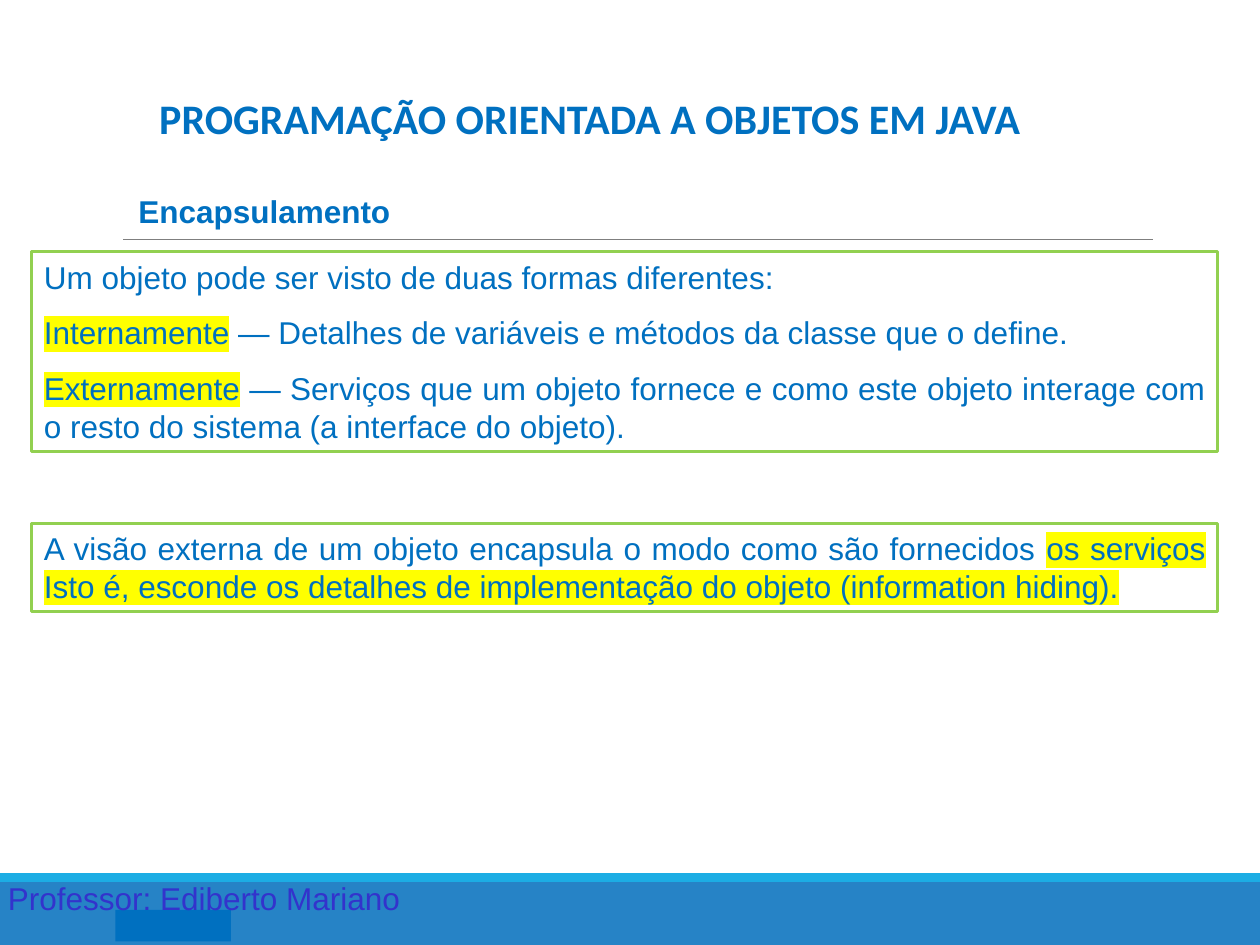
from lxml import etree
from pptx import Presentation
from pptx.dml.color import RGBColor
from pptx.enum.shapes import MSO_CONNECTOR, MSO_SHAPE
from pptx.enum.text import MSO_ANCHOR, MSO_AUTO_SIZE, PP_ALIGN
from pptx.oxml.ns import qn
from pptx.util import Pt

BLUE = RGBColor(0x00, 0x70, 0xC0)
BAND_BLUE = RGBColor(0x26, 0x83, 0xC6)
CYAN = RGBColor(0x1C, 0xAD, 0xE4)
GREEN = RGBColor(0x92, 0xD0, 0x50)
GRAY = RGBColor(0x7F, 0x7F, 0x7F)
INDIGO = RGBColor(0x33, 0x33, 0xCC)


def format_run(r, color=BLUE, size=18, font="Arial", bold=False, highlight=False):
    r.font.size, r.font.name, r.font.bold = Pt(size), font, bold
    r.font.color.rgb = color
    if highlight:
        hl = etree.Element(qn("a:highlight"))
        etree.SubElement(hl, qn("a:srgbClr"), val="FFFF00")
        r.font._element.find(qn("a:solidFill")).addnext(hl)


def add_rect(left, top, width, height, fill=None):
    sp = s.shapes.add_shape(MSO_SHAPE.RECTANGLE, Pt(left), Pt(top), Pt(width), Pt(height))
    sp.shadow.inherit = False
    if fill is None:
        sp.fill.background()
    else:
        sp.fill.solid()
        sp.fill.fore_color.rgb = fill
        sp.line.fill.background()
    return sp


prs = Presentation()
prs.slide_width, prs.slide_height = Pt(720), Pt(540)
s = prs.slides.add_slide(prs.slide_layouts[5])

# Footer band and rule under the heading
for left, top, width, height, fill in [
    (0, 499, 720, 41, BAND_BLUE),
    (0, 499, 720, 5, CYAN),
    (66, 520, 66, 18, BLUE),
]:
    add_rect(left, top, width, height, fill)

rule = s.shapes.add_connector(MSO_CONNECTOR.STRAIGHT, Pt(70.5), Pt(136.8), Pt(659), Pt(136.8))
rule.line.color.rgb = GRAY
rule.line.width = Pt(0.5)
etree.SubElement(rule._element.spPr, qn("a:effectLst"))

# Title
title = s.shapes.title
title.left, title.top, title.width, title.height = Pt(74.5), Pt(48), Pt(525), Pt(37.5)
tf = title.text_frame
tf.text = "PROGRAMAÇÃO ORIENTADA A OBJETOS EM JAVA"
tf.word_wrap = True
tf.auto_size = MSO_AUTO_SIZE.NONE
tf.vertical_anchor = MSO_ANCHOR.BOTTOM
p = tf.paragraphs[0]
p.alignment = PP_ALIGN.CENTER
format_run(p.runs[0], size=24, font="Calibri", bold=True)

# Heading and footer text
for text, left, top, width, color, bold in [
    ("Encapsulamento", 72, 106, 624, BLUE, True),
    ("Professor: Ediberto Mariano", -2.5, 498.5, 648, INDIGO, False),
]:
    tf = s.shapes.add_textbox(Pt(left), Pt(top), Pt(width), Pt(29)).text_frame
    tf.word_wrap = True
    tf.text = text
    format_run(tf.paragraphs[0].runs[0], color=color, bold=bold)

# Framed text: each paragraph is a list of (text, highlighted)
frames = [
    (144, 114, [
        [("Um objeto pode ser visto de duas formas diferentes:", False)],
        [("Internamente", True),
         (" — Detalhes de variáveis e métodos da classe que o define.", False)],
        [("Externamente", True),
         (" — Serviços que um objeto fornece e como este objeto interage com "
          "o resto do sistema (a interface do objeto).", False)],
    ]),
    (299, 50.5, [
        [("A visão externa de um objeto encapsula o modo como são fornecidos ", False),
         ("os serviços Isto é, esconde os detalhes de implementação do objeto "
          "(information hiding).", True)],
    ]),
]
for top, height, paragraphs in frames:
    sp = add_rect(18, top, 678, height)
    sp.line.color.rgb = GREEN
    sp.line.width = Pt(1.75)
    tf = sp.text_frame
    tf.word_wrap = True
    tf.vertical_anchor = MSO_ANCHOR.TOP
    for i, parts in enumerate(paragraphs):
        p = tf.add_paragraph() if i else tf.paragraphs[0]
        p.alignment = PP_ALIGN.JUSTIFY
        p.space_before = Pt(10)
        for text, highlighted in parts:
            r = p.add_run()
            r.text = text
            format_run(r, highlight=highlighted)

prs.save("out.pptx")
